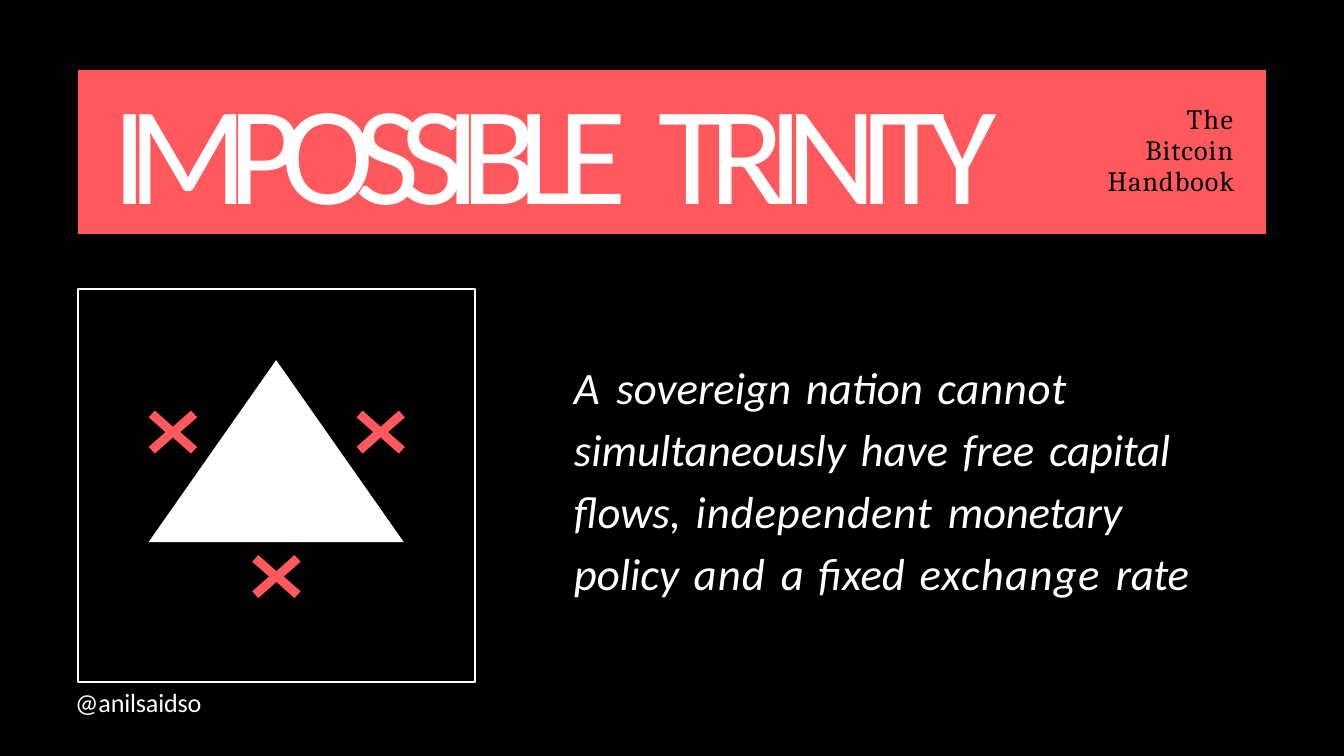
from itertools import groupby

from pptx import Presentation
from pptx.dml.color import RGBColor
from pptx.enum.shapes import MSO_SHAPE
from pptx.enum.text import PP_ALIGN
from pptx.util import Inches, Pt

BLACK = RGBColor(0x00, 0x00, 0x00)
WHITE = RGBColor(0xFF, 0xFF, 0xFF)
CORAL = RGBColor(0xFF, 0x59, 0x5E)
CELL = Inches(0.1)  # grid of 100 columns by 56.25 rows
COLUMNS, ROWS = 100, 56.25


def cells(*lengths):
    return [round(length * CELL) for length in lengths]


class SlideBuilder:
    """Holds the style and the current slide; lengths are grid columns and rows."""

    body_font = "Calibri"

    def __init__(self, presentation):
        presentation.slide_width, presentation.slide_height = cells(COLUMNS, ROWS)
        self.slide = presentation.slides.add_slide(presentation.slide_layouts[6])
        self.slide.background.fill.solid()
        self.slide.background.fill.fore_color.rgb = BLACK

    def paint(self, shape, fill=None, line=None):
        shape.shadow.inherit = False
        if fill is None:
            shape.fill.background()
        else:
            shape.fill.solid()
            shape.fill.fore_color.rgb = fill
        if line is None:
            shape.line.fill.background()
        else:
            shape.line.color.rgb = line
            shape.line.width = Pt(0.75)

    def preset(self, kind, column, row, columns, rows, fill=None, line=None):
        shape = self.slide.shapes.add_shape(kind, *cells(column, row, columns, rows))
        self.paint(shape, fill, line)

    def cross(self, column, row):
        """Draw a cross centred on a grid point, its left half mirroring the right."""
        right_half = [(0, -0.4), (1.35, -1.6), (1.8, -1.1), (0.55, 0),
                      (1.8, 1.1), (1.35, 1.6), (0, 0.4)]
        left_half = [(-x, y) for x, y in reversed(right_half[1:-1])]
        points = [cells(column + x, row + y) for x, y in right_half + left_half]
        builder = self.slide.shapes.build_freeform(*points[0])
        builder.add_line_segments(points[1:], close=True)
        self.paint(builder.convert_to_shape(), CORAL)

    def text(self, column, row, columns, rows, runs, size, color=WHITE,
             font=None, italic=False, gap_spacing=None, first_indent=None,
             **paragraph_format):
        """Write one paragraph; runs are pairs of wording and letter spacing.

        gap_spacing is the letter spacing of the spaces between words.
        """
        box = cells(column, row, columns, rows)
        frame = self.slide.shapes.add_textbox(*box).text_frame
        frame.word_wrap = True
        for side in ("left", "top", "right", "bottom"):
            setattr(frame, f"margin_{side}", 0)
        paragraph = frame.paragraphs[0]
        for name, value in paragraph_format.items():
            setattr(paragraph, name, value)
        if first_indent is not None:
            paragraph._p.get_or_add_pPr().set("indent", str(round(first_indent * CELL)))
        style = {"name": font or self.body_font, "size": Pt(size), "italic": italic}
        for wording, spacing in runs:
            for is_gap, letters in groupby(wording, str.isspace):
                run = paragraph.add_run()
                run.text = "".join(letters)
                for name, value in style.items():
                    setattr(run.font, name, value)
                run.font.color.rgb = color
                own = gap_spacing if is_gap and gap_spacing is not None else spacing
                run.font._element.set("spc", str(round(own * 100)))


def main():
    presentation = Presentation()
    builder = SlideBuilder(presentation)

    # Frame and title band
    builder.preset(MSO_SHAPE.RECTANGLE, 5.8, 21.5, 29.55, 29.25, line=WHITE)
    builder.preset(MSO_SHAPE.RECTANGLE, 5.8, 5.2, 88.4, 12.2, fill=CORAL)
    builder.text(8.35, 4.8, 70.5, 12.3, [("IMPOSSIBLE ", -10.3), ("TRINITY", -9.2)],
                 75, gap_spacing=0)
    builder.text(80.85, 7.8, 11, 7.4, [("The ", 0.8), ("Bitcoin Handbook", 0.6)], 15,
                 color=BLACK, font="Cambria", first_indent=6.7,
                 alignment=PP_ALIGN.RIGHT, line_spacing=Pt(16.5))

    # Triangle with a cross beside each side
    builder.preset(MSO_SHAPE.ISOSCELES_TRIANGLE, 11.05, 26.8, 19, 13.55, fill=WHITE)
    for column, row in ((12.87, 32.15), (28.33, 32.15), (20.57, 42.9)):
        builder.cross(column, row)

    # Statement and author
    statement = [
        ("A ", 1.1), ("sovereign nation ", 0), ("cannot ", 0.4),
        ("simultaneously have free ", 0), ("capital ", -0.1), ("ﬂows, ", 0),
        ("independent ", 0.5), ("monetary ", -0.1), ("policy ", 0), ("and ", 0.6),
        ("a ﬁxed ", 0), ("exchange ", 0.7), ("rate", -0.2),
    ]
    builder.text(42.7, 26.2, 46.2, 18.7, statement, 24, italic=True,
                 gap_spacing=2.4, line_spacing=1.15)
    builder.text(5.6, 51.1, 10, 2.6, [("@anilsaidso", -0.1)], 14)

    presentation.save("out.pptx")


if __name__ == "__main__":
    main()
